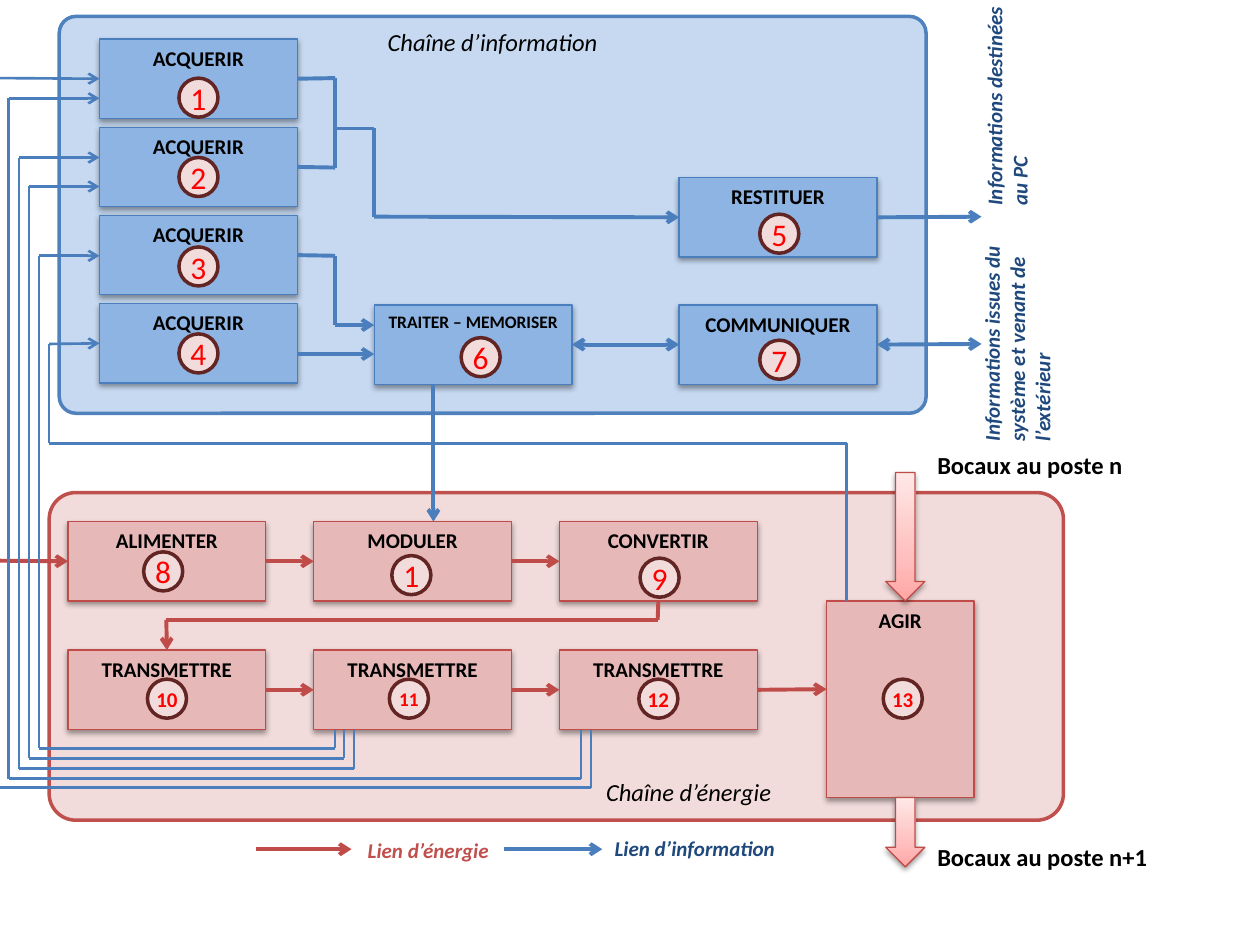
from itertools import pairwise

from lxml import etree
from pptx import Presentation
from pptx.dml.color import RGBColor
from pptx.enum.shapes import MSO_CONNECTOR, MSO_SHAPE
from pptx.enum.text import MSO_ANCHOR, PP_ALIGN
from pptx.oxml import parse_xml
from pptx.oxml.ns import nsdecls, qn
from pptx.util import Inches, Pt

STRAIGHT = MSO_CONNECTOR.STRAIGHT
RECT, ROUNDED = MSO_SHAPE.RECTANGLE, MSO_SHAPE.ROUNDED_RECTANGLE
OVAL, DOWN_ARROW = MSO_SHAPE.OVAL, MSO_SHAPE.DOWN_ARROW
TOP, MIDDLE, BOTTOM = MSO_ANCHOR.TOP, MSO_ANCHOR.MIDDLE, MSO_ANCHOR.BOTTOM
LEFT, CENTER = PP_ALIGN.LEFT, PP_ALIGN.CENTER

COLORS = {
    "info_panel": "C6D9F1", "info_border": "4F81BD", "info_box": "8EB4E3",
    "info": "4B7EBC", "info_text": "1F497D",
    "energy_panel": "F2DCDB", "energy_border": "C0504D", "energy_box": "E6B9B8",
    "energy": "BF4C48", "energy_text": "C0504D",
    "badge": "F2DCDB", "badge_border": "632523", "number": "FF0000", "black": "000000",
}
FLOW_GRADIENT = [(0, "FFA6A5"), (35, "FFC0BF"), (100, "FFE7E7")]

# Grid, in inches
BOX_W, BOX_H, BADGE = 1.57, 0.63, 0.31
INFO_COLS = [0.79, 2.97, 5.39]
INFO_ROWS = [0.31 + 0.7 * row for row in range(4)]
ENERGY_COLS = [0.54 + 1.95 * col for col in range(3)]
ENERGY_ROWS = [4.14, 5.16]
AGIR = (6.56, 4.77, 1.17, 1.56)
SIDES = {"top": (0, 0.5, 0), "left": (1, 0, 0.5), "bottom": (2, 0.5, 1), "right": (3, 1, 0.5)}

# chain, position and size, rounding, title, text anchor, left inset
PANELS = [
    ("energy", (0.39, 3.91, 8.05, 2.6), 0.081, "Chaîne d’énergie", BOTTOM, 2.2),
    ("info", (0.47, 0.13, 6.88, 3.15), 0.042, "Chaîne d’information", TOP, 0.1),
]


def cell(left, top):
    return left, top, BOX_W, BOX_H


# key: chain, place, label, label size, number, number size, badge corner
FUNCTIONS = {
    "acquire1": ("info", cell(INFO_COLS[0], INFO_ROWS[0]), "ACQUERIR", 12, "1", 18, (1.42, 0.62)),
    "acquire2": ("info", cell(INFO_COLS[0], INFO_ROWS[1]), "ACQUERIR", 12, "2", 18, (1.42, 1.25)),
    "acquire3": ("info", cell(INFO_COLS[0], INFO_ROWS[2]), "ACQUERIR", 12, "3", 18, (1.42, 1.96)),
    "acquire4": ("info", cell(INFO_COLS[0], INFO_ROWS[3]), "ACQUERIR", 12, "4", 18, (1.42, 2.65)),
    "restore": ("info", cell(INFO_COLS[2], 1.41), "RESTITUER", 12, "5", 18, (6.03, 1.7)),
    "process": ("info", cell(INFO_COLS[1], 2.42), "TRAITER – MEMORISER", 10, "6", 18, (3.66, 2.68)),
    "communicate": ("info", cell(INFO_COLS[2], 2.42), "COMMUNIQUER", 12, "7", 18, (6.03, 2.7)),
    "supply": ("energy", cell(ENERGY_COLS[0], ENERGY_ROWS[0]), "ALIMENTER", 12, "8", 18, (1.14, 4.38)),
    "modulate": ("energy", cell(ENERGY_COLS[1], ENERGY_ROWS[0]), "MODULER", 12, "1", 18, (3.11, 4.41)),
    "convert": ("energy", cell(ENERGY_COLS[2], ENERGY_ROWS[0]), "CONVERTIR", 12, "9", 18, (5.08, 4.43)),
    "transmit1": ("energy", cell(ENERGY_COLS[0], ENERGY_ROWS[1]), "TRANSMETTRE", 12, "10", 12, (1.17, 5.39)),
    "transmit2": ("energy", cell(ENERGY_COLS[1], ENERGY_ROWS[1]), "TRANSMETTRE", 12, "11", 11, (3.09, 5.39)),
    "transmit3": ("energy", cell(ENERGY_COLS[2], ENERGY_ROWS[1]), "TRANSMETTRE", 12, "12", 12, (5.07, 5.39)),
    "act": ("energy", AGIR, "AGIR", 12, "13", 12, (7.01, 5.39)),
}

# chain, line width, arrowheads, stops: (x, y) or (function, side)
ROUTES = [
    ("info", 2.25, "", [("acquire1", "right"), (2.66, 0.62), (2.66, 1.33), ("acquire2", "right")]),
    ("info", 2.25, "end", [(2.66, 1.02), (2.97, 1.02), (2.97, 1.72), ("restore", "left")]),
    ("info", 2.25, "end", [("acquire3", "right"), (2.66, 2.03), (2.66, 2.58), (2.97, 2.58)]),
    ("info", 2.25, "end", [(2.36, 2.81), (2.97, 2.81)]),
    ("info", 2.25, "both", [("process", "right"), ("communicate", "left")]),
    ("info", 2.25, "both", [("communicate", "right"), (7.79, 2.73)]),
    ("info", 2.25, "end", [("restore", "right"), (7.79, 1.72)]),
    ("info", 2.25, "end", [(3.44, 3.05), (3.44, 4.14)]),
    ("info", 1.5, "end", [(6.72, 4.77), (6.72, 3.52), (0.39, 3.52), (0.39, 2.73), ("acquire4", "left")]),
    ("info", 1.5, "", [(4.69, 5.79), (4.69, 6.25), (0, 6.25)]),
    ("info", 1.5, "end", [(0, 0.62), ("acquire1", "left")]),
    ("energy", 2.25, "end", [(0, 4.45), ("supply", "left")]),
    ("energy", 2.25, "end", [("supply", "right"), ("modulate", "left")]),
    ("energy", 2.25, "end", [("modulate", "right"), ("convert", "left")]),
    ("energy", 2.25, "end", [("convert", "bottom"), (5.22, 4.92), (1.32, 4.92), ("transmit1", "top")]),
    ("energy", 2.25, "end", [("transmit1", "right"), ("transmit2", "left")]),
    ("energy", 2.25, "end", [("transmit2", "right"), ("transmit3", "left")]),
    ("energy", 2.25, "end", [("transmit3", "right"), (6.56, 5.47)]),
    ("energy", 2.25, "end", [(2.03, 6.74), (2.79, 6.74)]),
    ("info", 2.25, "end", [(4, 6.74), (4.78, 6.74)]),
]
# Feedback lanes, 0.08 apart: departure x, arrival y
FEEDBACK = [(2.66, 2.03), (2.73, 1.48), (2.81, 1.25), (4.61, 0.78)]
for lane, (depart_x, arrive_y) in enumerate(FEEDBACK):
    lane_x, lane_y = 0.31 - 0.08 * lane, 5.94 + 0.08 * lane
    ROUTES.append(("info", 1.5, "end", [(depart_x, 5.79), (depart_x, lane_y), (lane_x, lane_y),
                                        (lane_x, arrive_y), (INFO_COLS[0], arrive_y)]))

JAR_FLOWS = [(7.03, 3.75, 0.31, 1.02), (7.03, 6.33, 0.31, 0.55)]

# text, place, size, colour, italic, wrap, rotation
CAPTIONS = [
    ("Informations destinées au PC", (7.13, 0.62, 1.72, 0.5), 12, "info_text", True, True, 270),
    ("Informations issues du système et venant de l’extérieur", (7.06, 2.23, 2.03, 0.71),
     12, "info_text", True, True, 270),
    ("Lien d’énergie", (2.82, 6.6, 1.18, 0.3), 12, "energy_text", True, False, 0),
    ("Lien d’information", (4.78, 6.58, 1.5, 0.3), 12, "info_text", True, True, 0),
    ("Bocaux au poste n", (7.34, 3.52, 1.69, 0.34), 14, "black", False, False, 0),
    ("Bocaux au poste n+1", (7.34, 6.63, 1.88, 0.34), 14, "black", False, False, 0),
]


def rgb(name):
    return RGBColor.from_string(COLORS[name])


def inches(values):
    return [Inches(value) for value in values]


def write(frame, text, size=12, color="black", bold=False, italic=False,
          align=CENTER, anchor=TOP, wrap=True):
    frame.word_wrap, frame.vertical_anchor = wrap, anchor
    paragraph = frame.paragraphs[0]
    paragraph.alignment = align
    run = paragraph.add_run()
    run.text = text
    font = run.font
    font.name, font.size, font.bold, font.italic = "Calibri", Pt(size), bold, italic
    font.color.rgb = rgb(color)


def add_block(slide, kind, place, border, width, fill=None, shadow=False):
    block = slide.shapes.add_shape(kind, *inches(place))
    if fill:
        block.fill.solid()
        block.fill.fore_color.rgb = rgb(fill)
    block.line.color.rgb, block.line.width = rgb(border), Pt(width)
    block.shadow.inherit = False
    if shadow:
        block._element.spPr.find(qn("a:effectLst")).append(parse_xml(
            f'<a:outerShdw {nsdecls("a")} blurRad="40000" dist="20000" dir="5400000" rotWithShape="0">'
            '<a:srgbClr val="000000"><a:alpha val="38000"/></a:srgbClr></a:outerShdw>'))
    return block


def locate(stop):
    if not isinstance(stop[0], str):
        return stop
    left, top, width, height = FUNCTIONS[stop[0]][1]
    _, share_x, share_y = SIDES[stop[1]]
    return left + width * share_x, top + height * share_y


def add_route(slide, boxes, chain, width, heads, stops):
    for index, (start, end) in enumerate(pairwise(stops)):
        link = slide.shapes.add_connector(STRAIGHT, *inches(locate(start) + locate(end)))
        for stop, join in ((start, link.begin_connect), (end, link.end_connect)):
            if isinstance(stop[0], str):
                join(boxes[stop[0]], SIDES[stop[1]][0])
        link.line.color.rgb, link.line.width = rgb(chain), Pt(width)
        line = link.line._get_or_add_ln()
        if heads == "both":
            etree.SubElement(line, qn("a:headEnd"), type="arrow")
        if heads and index == len(stops) - 2:
            etree.SubElement(line, qn("a:tailEnd"), type="arrow")
        etree.SubElement(link._element.spPr, qn("a:effectLst"))


def add_jar_flow(slide, place):
    flow = add_block(slide, DOWN_ARROW, place, "energy", 0.75, shadow=True)
    colors = "".join(f'<a:gs pos="{share * 1000}"><a:srgbClr val="{color}"/></a:gs>'
                     for share, color in FLOW_GRADIENT)
    flow._element.spPr.insert(2, parse_xml(
        f'<a:gradFill {nsdecls("a")} rotWithShape="1"><a:gsLst>{colors}</a:gsLst>'
        '<a:lin ang="16200000" scaled="0"/></a:gradFill>'))


def main():
    deck = Presentation()
    deck.slide_width, deck.slide_height = Inches(10), Inches(7.5)
    slide = deck.slides.add_slide(deck.slide_layouts[6])

    for chain, place, rounding, title, anchor, inset in PANELS:
        panel = add_block(slide, ROUNDED, place, f"{chain}_border", 2, f"{chain}_panel")
        panel.adjustments[0] = rounding
        panel.text_frame.margin_left = Inches(inset)
        write(panel.text_frame, title, size=14, italic=True, anchor=anchor)

    boxes = {}
    for key, (chain, place, label, size, *_) in FUNCTIONS.items():
        boxes[key] = add_block(slide, RECT, place, chain, 0.75, f"{chain}_box", shadow=True)
        write(boxes[key].text_frame, label, size=size, bold=True)

    for place in JAR_FLOWS:
        add_jar_flow(slide, place)
    for route in ROUTES:
        add_route(slide, boxes, *route)

    for *_, number, size, corner in FUNCTIONS.values():
        badge = add_block(slide, OVAL, (*corner, BADGE, BADGE), "badge_border", 2, "badge")
        frame = badge.text_frame
        frame.margin_left = frame.margin_top = frame.margin_right = frame.margin_bottom = 0
        write(frame, number, size=size, color="number", bold=len(number) > 1, anchor=MIDDLE)

    for text, place, size, color, italic, wrap, rotation in CAPTIONS:
        caption = slide.shapes.add_textbox(*inches(place))
        caption.rotation = rotation
        if rotation:
            caption.text_frame.margin_right = 0
        write(caption.text_frame, text, size=size, color=color, bold=True,
              italic=italic, align=LEFT, wrap=wrap)

    deck.save("out.pptx")


if __name__ == "__main__":
    main()
